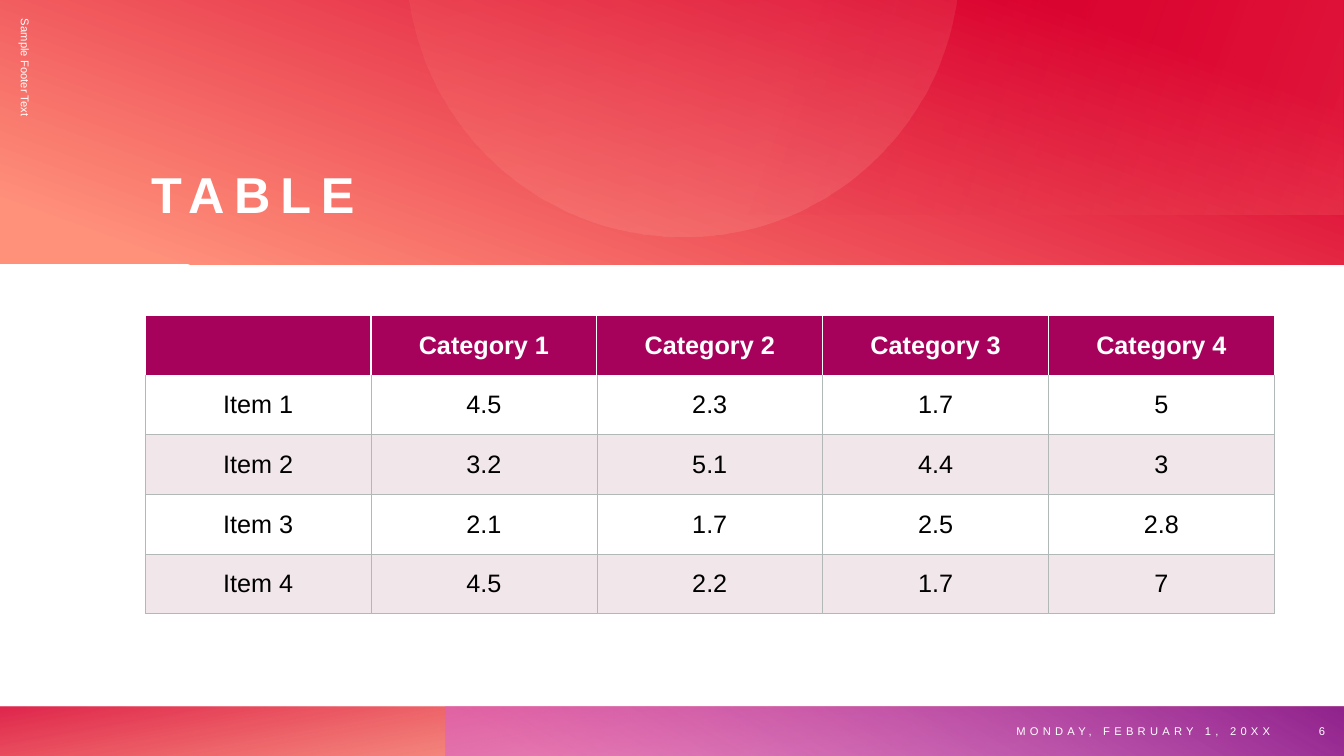
from math import asin, cos, pi, sin

from lxml.etree import SubElement
from pptx import Presentation
from pptx.dml.color import RGBColor
from pptx.enum.shapes import MSO_SHAPE as Shape
from pptx.enum.text import MSO_ANCHOR as Anchor, PP_ALIGN as Align
from pptx.oxml.ns import qn
from pptx.util import Inches, Pt

WHITE, BLACK = "FFFFFF", "000000"
HEADER, BAND, GRID = "A6025C", "F1E7EA", "B2B8B8"
ROWS = [
    ["", "Category 1", "Category 2", "Category 3", "Category 4"],
    ["Item 1", "4.5", "2.3", "1.7", "5"],
    ["Item 2", "3.2", "5.1", "4.4", "3"],
    ["Item 3", "2.1", "1.7", "2.5", "2.8"],
    ["Item 4", "4.5", "2.2", "1.7", "7"],
]


def rgb(color):
    return RGBColor.from_string(color)


def apply(target, values):
    for name, value in values.items():
        setattr(target, name, value)


def fill_gradient(shape, angle, stops):
    shape.shadow.inherit = False
    shape.line.fill.background()
    shape.fill.gradient()
    shape.fill.gradient_angle = angle
    for stop, (position, color, _) in zip(shape.fill.gradient_stops, stops):
        stop.position = position / 100
        stop.color.rgb = rgb(color)
    colors = shape.element.spPr.iter(qn("a:srgbClr"))
    for element, (_, _, opacity) in zip(colors, stops):
        SubElement(element, qn("a:alpha"), val=str(opacity * 1000))


def add_panel(slide, box, angle, stops):
    shape = slide.shapes.add_shape(Shape.RECTANGLE, *map(Inches, box))
    fill_gradient(shape, angle, stops)


def add_cut_circle(slide, center_x, center_y, radius, angle, stops):
    start = asin(-center_y / radius)
    steps = 120
    angles = [start + (pi - 2 * start) * i / steps for i in range(steps + 1)]
    points = [
        (Inches(center_x + radius * cos(a)), Inches(center_y + radius * sin(a)))
        for a in angles
    ]
    builder = slide.shapes.build_freeform(*points[0])
    builder.add_line_segments(points[1:], close=True)
    fill_gradient(builder.convert_to_shape(), angle, stops)


def write(paragraph, text, size, color=WHITE, bold=False, align=Align.LEFT, spacing=0):
    paragraph.alignment = align
    run = paragraph.add_run()
    run.text = text
    apply(run.font, {"name": "Arial", "size": Pt(size), "bold": bold})
    run.font.color.rgb = rgb(color)
    if spacing:
        run.font._element.set("spc", str(spacing * 100))


def add_text(slide, box, text, size, anchor=Anchor.MIDDLE, rotation=0, margins=None, **style):
    shape = slide.shapes.add_textbox(*map(Inches, box))
    shape.rotation = rotation
    frame = shape.text_frame
    apply(frame, {"word_wrap": True, "vertical_anchor": anchor, **(margins or {})})
    write(frame.paragraphs[0], text, size, **style)


def set_borders(cell, color, width):
    properties = cell._tc.get_or_add_tcPr()
    for side in ("lnL", "lnR", "lnT", "lnB"):
        line = SubElement(properties, qn(f"a:{side}"), w=str(Pt(width)))
        SubElement(SubElement(line, qn("a:solidFill")), qn("a:srgbClr"), val=color)


def add_data_table(slide, box, rows):
    frame = slide.shapes.add_table(len(rows), len(rows[0]), *map(Inches, box))
    table = frame.table
    table.horz_banding = False
    for r, row in enumerate(rows):
        is_header = r == 0
        fill = HEADER if is_header else WHITE if r % 2 else BAND
        for c, text in enumerate(row):
            cell = table.cell(r, c)
            set_borders(cell, *((WHITE, 1) if is_header else (GRID, 0.5)))
            cell.fill.solid()
            cell.fill.fore_color.rgb = rgb(fill)
            cell.vertical_anchor = Anchor.MIDDLE
            if text:
                write(cell.text_frame.paragraphs[0], text, 18, align=Align.CENTER,
                      color=WHITE if is_header else BLACK, bold=is_header)


def main():
    presentation = Presentation()
    apply(presentation, {"slide_width": Inches(13.33), "slide_height": Inches(7.5)})
    slide = presentation.slides.add_slide(presentation.slide_layouts[6])

    add_panel(slide, (0, 7.01, 13.33, 0.5), 100, [(14, "FE4A00", 28), (100, "DA002F", 85)])
    add_panel(slide, (4.42, 7.01, 8.92, 0.5), 60, [(9, "D861D4", 55), (99, "92248E", 100)])
    add_panel(slide, (0, 0, 13.33, 2.62), 70, [(8, "FF907A", 100), (86, "DA002F", 100)])
    add_cut_circle(slide, 6.77, -0.39, 2.74, 283, [(0, "FF907A", 12), (100, "FFBCAF", 20)])
    add_panel(slide, (4.44, 0, 8.88, 2.13), 160, [(0, "FF907A", 16), (62, "DA002F", 0)])

    no_margins = dict.fromkeys(
        ("margin_left", "margin_top", "margin_right", "margin_bottom"), 0)
    add_text(slide, (1.5, 0.87, 11.2, 1.35), "TABLE", 36, anchor=Anchor.BOTTOM,
             margins=no_margins, bold=True, spacing=7)
    add_text(slide, (-2, 2.09, 4.5, 0.5), "Sample Footer Text", 8, rotation=90)
    add_data_table(slide, (1.44, 3.13, 11.2, 2.96), ROWS)
    add_text(slide, (8.65, 7.01, 4.05, 0.49), "MONDAY, FEBRUARY 1, 20XX", 8,
             align=Align.RIGHT, spacing=3)
    add_text(slide, (12.76, 7.01, 0.48, 0.49), "6", 8, align=Align.RIGHT)

    presentation.save("out.pptx")


main()
